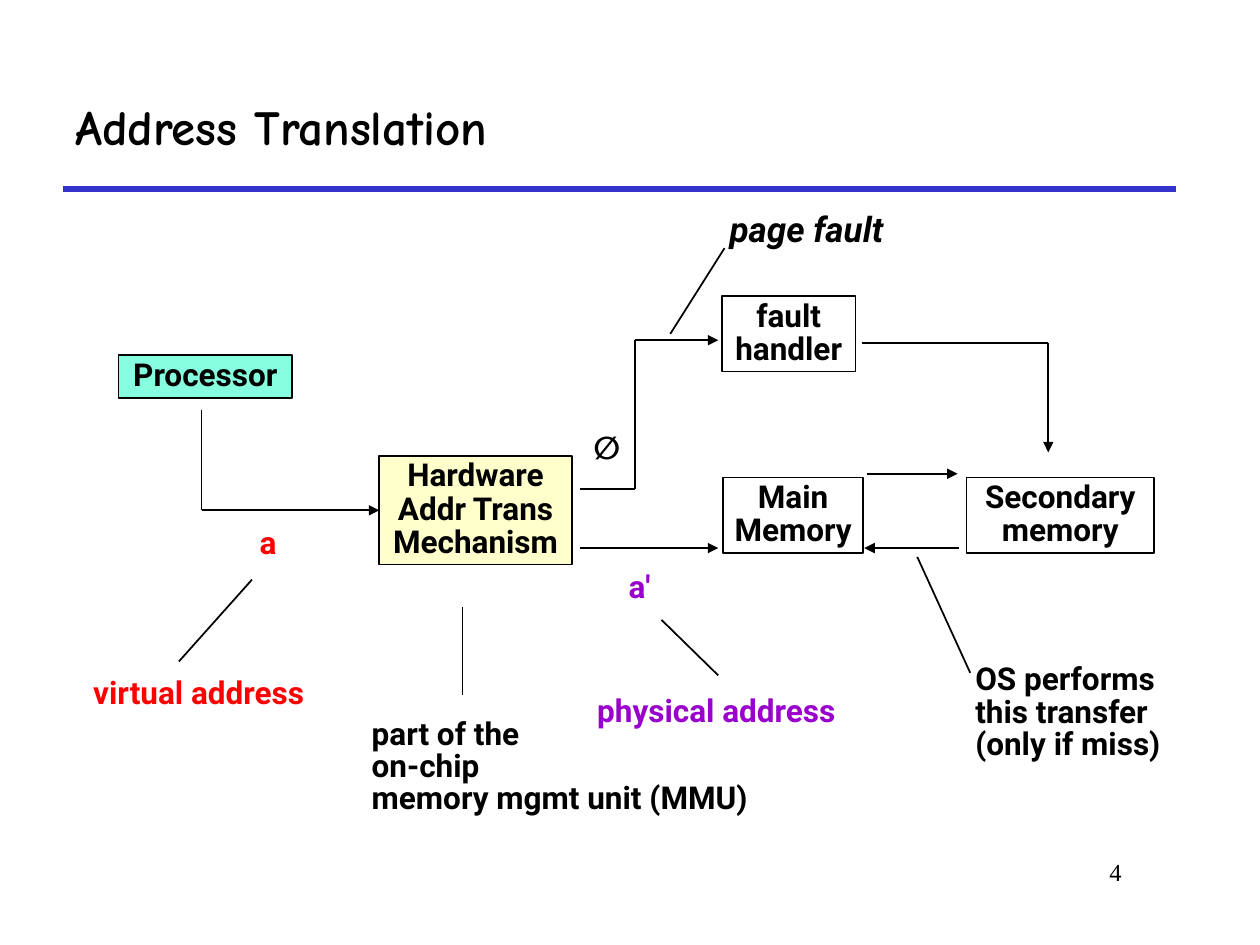
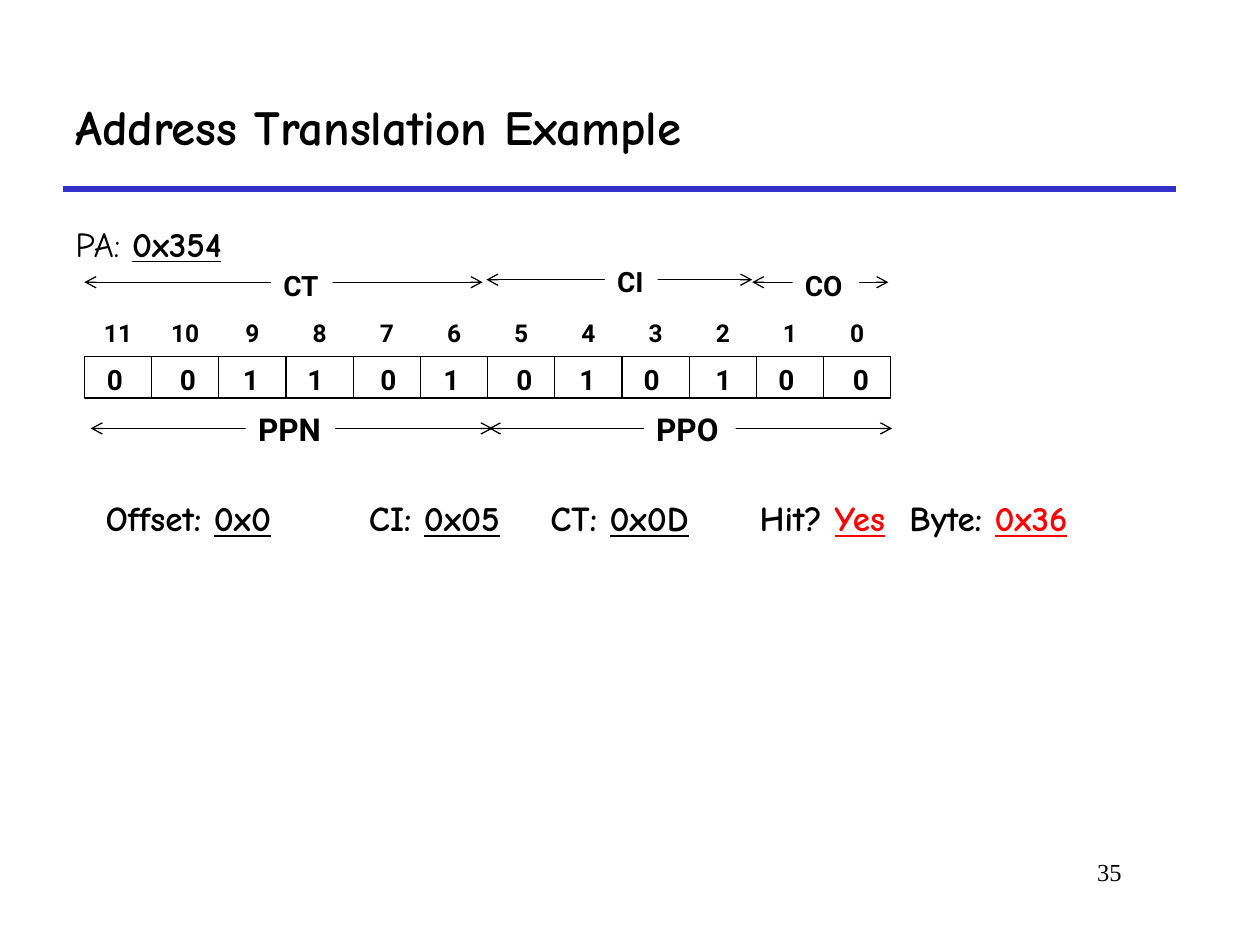
import pptx
import pptx.dml.color
import pptx.enum.shapes
import pptx.enum.text
import pptx.oxml
import pptx.oxml.ns
import pptx.util
from pptx.util import Inches

BLACK, WHITE, RED, PURPLE = "000000", "FFFFFF", "FF0000", "9900CC"
RULE_BLUE, AQUA, CREAM = "3333CC", "85FFE0", "FFFFCC"
HEADING_FONT, BODY_FONT, NUMBER_FONT = "Comic Neue", "Roboto", "Times New Roman"
ALIGN = pptx.enum.text.PP_ALIGN
ANCHOR = pptx.enum.text.MSO_ANCHOR
AUTO_SIZE = pptx.enum.text.MSO_AUTO_SIZE
WIDE_INSETS, TIGHT_INSETS = (0.1, 0.05), (0.07, 0.03)


def color(hex_string):
    return pptx.dml.color.RGBColor.from_string(hex_string)


def add_child(parent, tag, **attributes):
    child = pptx.oxml.parse_xml(f"<a:{tag} {pptx.oxml.ns.nsdecls('a')}/>")
    for name, value in attributes.items():
        child.set(name, str(value))
    parent.append(child)
    return child


class Deck:
    """Holds the shared style and the slide being drawn."""

    def __init__(self):
        self.presentation = pptx.Presentation()
        self.presentation.slide_width = Inches(10)
        self.presentation.slide_height = Inches(7.5)
        self.slide = None

    def new_slide(self, title, number):
        self.slide = self.presentation.slides.add_slide(self.presentation.slide_layouts[6])
        self.line((0.5, 1.5), (9.33, 1.5), RULE_BLUE, 3)
        self.text((7.58, 6.75, 1.42, 0.5), number, size=14, font=NUMBER_FONT,
                  bold=False, align=ALIGN.RIGHT, wrap=True)
        self.text((0.5, 0.5, 8.83, 1), title, size=28, font=HEADING_FONT,
                  anchor=ANCHOR.MIDDLE, wrap=True)

    def fill_text(self, shape, text, size=18, font=BODY_FONT, fore=BLACK, bold=True,
                  italic=False, align=ALIGN.LEFT, anchor=ANCHOR.TOP, spacing=None,
                  insets=WIDE_INSETS, wrap=False, grow=False):
        """Put text, one paragraph a line, into a shape and format it."""
        frame = shape.text_frame
        frame.text = text
        frame.word_wrap = wrap
        frame.auto_size = AUTO_SIZE.SHAPE_TO_FIT_TEXT if grow else AUTO_SIZE.NONE
        frame.vertical_anchor = anchor
        frame.margin_left = frame.margin_right = Inches(insets[0])
        frame.margin_top = frame.margin_bottom = Inches(insets[1])
        for paragraph in frame.paragraphs:
            paragraph.alignment = align
            paragraph.line_spacing = spacing
            for run in paragraph.runs:
                run.font.name, run.font.size = font, pptx.util.Pt(size)
                run.font.bold, run.font.italic = bold, italic
                run.font.color.rgb = color(fore)

    def text(self, place, text, **style):
        shape = self.slide.shapes.add_textbox(*map(Inches, place))
        self.fill_text(shape, text, **style)
        return shape

    def note(self, place, text, **style):
        return self.text(place, text, spacing=0.85, insets=TIGHT_INSETS, grow=True, **style)

    def answers(self, place, pairs, bold_labels=True, spacing=0.9, tab_stops=()):
        """Write labels with underlined values in one line, spread over tab stops."""
        shape = self.text(place, "", wrap=True)
        paragraph = shape.text_frame.paragraphs[0]
        paragraph.line_spacing = spacing
        if tab_stops:
            tab_list = add_child(paragraph._p.get_or_add_pPr(), "tabLst")
            for stop in tab_stops:
                add_child(tab_list, "tab", pos=Inches(stop), algn="l")
        for index, (label, value, value_color) in enumerate(pairs):
            lead = "\t" if index else ""
            for words, fore, is_value in ((f"{lead}{label} ", BLACK, False),
                                          (value, value_color, True)):
                run = paragraph.add_run()
                run.text = words
                run.font.name, run.font.size = HEADING_FONT, pptx.util.Pt(20)
                run.font.bold = is_value or bold_labels
                run.font.underline = is_value
                run.font.color.rgb = color(fore)

    def box(self, place, text="", fill=None, outline=1, **style):
        shape = self.slide.shapes.add_shape(
            pptx.enum.shapes.MSO_SHAPE.RECTANGLE, *map(Inches, place))
        shape.shadow.inherit = False
        if fill:
            shape.fill.solid()
            shape.fill.fore_color.rgb = color(fill)
        else:
            shape.fill.background()
        if outline:
            shape.line.color.rgb = color(BLACK)
            shape.line.width = pptx.util.Pt(outline)
        else:
            shape.line.fill.background()
        if text:
            self.fill_text(shape, text, **style)
        return shape

    def unit(self, place, text, fill=None, wrap=False):
        return self.box(place, text, fill, align=ALIGN.CENTER, anchor=ANCHOR.MIDDLE,
                        spacing=0.88, insets=TIGHT_INSETS, wrap=wrap, grow=True)

    def line(self, start, end, stroke=BLACK, width=1, head=None, tail=None):
        connector = self.slide.shapes.add_connector(
            pptx.enum.shapes.MSO_CONNECTOR.STRAIGHT, *map(Inches, (*start, *end)))
        connector.line.color.rgb = color(stroke)
        connector.line.width = pptx.util.Pt(width)
        outline = connector.line._get_or_add_ln()
        for tag, kind in (("headEnd", head), ("tailEnd", tail)):
            if kind:
                add_child(outline, tag, type=kind)
        add_child(connector._element.spPr, "effectLst")
        return connector

    def arrow(self, start, end):
        return self.line(start, end, tail="triangle")

    def field_span(self, left, right, y, label_place, name, size):
        """Draw a double arrow over a range of bits, broken by the field name."""
        self.line((left, y), (right, y), width=0.75, head="arrow", tail="arrow")
        self.box(label_place, name, WHITE, outline=None, size=size, spacing=0.9, grow=True)


def draw_translation(deck):
    deck.new_slide("Address Translation", "4")
    deck.unit((0.94, 2.82, 1.38, 0.34), "Processor", AQUA)
    hardware = deck.unit((3.01, 3.62, 1.53, 0.86), "Hardware\nAddr Trans\nMechanism",
                         CREAM, wrap=True)
    deck.unit((5.73, 2.35, 1.06, 0.6), "fault\nhandler")
    deck.unit((5.74, 3.79, 1.11, 0.6), "Main\nMemory")
    deck.unit((7.67, 3.79, 1.49, 0.6), "Secondary memory", wrap=True)

    for start, end in (((6.88, 3.76), (7.6, 3.76)), ((7.61, 4.35), (6.86, 4.35)),
                       ((4.6, 4.35), (5.7, 4.35)), ((5.04, 2.7), (5.7, 2.7)),
                       ((8.32, 2.72), (8.32, 3.59))):
        deck.arrow(start, end)
    deck.arrow((1.6, 4.05), (3.01, 4.05)).end_connect(hardware, 1)

    path_lines = (((4.6, 3.88), (5.04, 3.88)), ((5.04, 3.88), (5.04, 2.7)),
                  ((6.84, 2.72), (8.32, 2.72)), ((1.6, 3.25), (1.6, 4.05)))
    callout_lines = (((5.75, 1.97), (5.32, 2.65)), ((5.7, 5.36), (5.25, 4.92)),
                     ((7.28, 4.42), (7.7, 5.34)), ((1.42, 5.25), (2, 4.6)))
    for start, end in path_lines + callout_lines:
        deck.line(start, end)
    deck.line((3.67, 5.52), (3.67, 4.82), width=0.75)

    deck.note((1.99, 4.17, 0.28, 0.31), "a", fore=RED)
    deck.note((0.67, 5.36, 1.94, 0.31), "virtual address", fore=RED)
    deck.note((4.92, 4.52, 0.34, 0.31), "a'", fore=PURPLE)
    deck.note((4.67, 5.5, 2.17, 0.31), "physical address", fore=PURPLE)
    deck.note((4.64, 3.41, 0.35, 0.31), "∅")
    deck.note((5.72, 1.67, 1.46, 0.34), "page fault", size=20, italic=True)
    deck.note((7.67, 5.25, 1.68, 0.82), "OS performs\nthis transfer\n(only if miss)")
    deck.note((2.88, 5.68, 3.22, 0.82), "part of the\non-chip\nmemory mgmt unit (MMU)")


def draw_example(deck):
    deck.new_slide("Address Translation Example", "35")
    deck.answers((0.5, 1.58, 1.56, 0.57), [("PA:", "0x354", BLACK)],
                 bold_labels=False, spacing=1.4)

    bits = "001101010100"
    bit_lefts = (0.75, 1.33, 1.83, 2.34, 2.92, 3.42, 4, 4.5, 5.01, 5.58, 6.08, 6.67)
    cell_width, cell_height = 6.4 / len(bits), 0.33
    for index, (bit, bit_left) in enumerate(zip(bits, bit_lefts)):
        left = 0.67 + index * cell_width
        deck.box((left, 2.83, cell_width, cell_height), outline=0.75)
        deck.text((left, 2.49, cell_width, cell_height), str(len(bits) - 1 - index),
                  size=14, align=ALIGN.CENTER, anchor=ANCHOR.MIDDLE, spacing=0.9)
        deck.text((bit_left, 2.83, 0.32, 0.37), bit, size=16, align=ALIGN.CENTER, grow=True)

    deck.field_span(3.88, 7.08, 3.4, (5.11, 3.24, 0.73, 0.37), "PPO", 18)
    deck.field_span(0.72, 3.91, 3.4, (1.95, 3.24, 0.71, 0.37), "PPN", 18)
    deck.field_span(5.97, 7.05, 2.24, (6.29, 2.11, 0.53, 0.34), "CO", 16)
    deck.field_span(3.86, 5.97, 2.22, (4.8, 2.08, 0.42, 0.34), "CI", 16)
    deck.field_span(0.67, 3.83, 2.24, (2.15, 2.11, 0.49, 0.34), "CT", 16)

    deck.answers((0.74, 3.93, 8.17, 0.4),
                 [("Offset:", "0x0", BLACK), ("CI:", "0x05", BLACK), ("CT:", "0x0D", BLACK),
                  ("Hit?", "Yes", RED), ("Byte:", "0x36", RED)],
                 tab_stops=(2.09, 3.53, 5.19, 6.38))


def main():
    deck = Deck()
    draw_translation(deck)
    draw_example(deck)
    deck.presentation.save("out.pptx")


if __name__ == "__main__":
    main()
